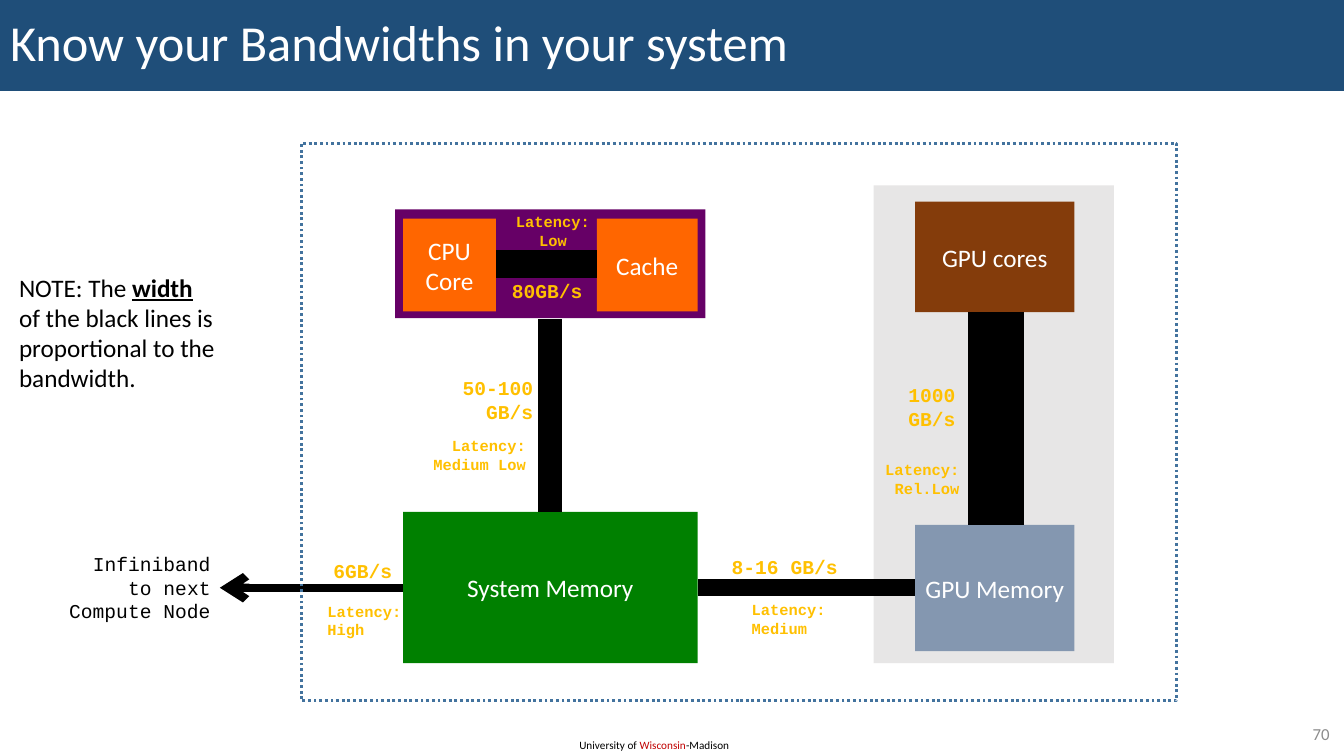
from lxml import etree
from pptx import Presentation
from pptx.dml.color import RGBColor
from pptx.enum.dml import MSO_LINE
from pptx.enum.shapes import MSO_CONNECTOR, MSO_SHAPE
from pptx.enum.text import MSO_ANCHOR, MSO_AUTO_SIZE, PP_ALIGN
from pptx.oxml.ns import qn
from pptx.util import Cm, Pt

LEFT, MID, RIGHT = PP_ALIGN.LEFT, PP_ALIGN.CENTER, PP_ALIGN.RIGHT
MIDDLE = MSO_ANCHOR.MIDDLE
RECT = MSO_SHAPE.RECTANGLE
LINE = MSO_CONNECTOR.STRAIGHT
DOTS = MSO_LINE.ROUND_DOT
GROW = MSO_AUTO_SIZE.SHAPE_TO_FIT_TEXT
SANS, MONO = "Calibri", "Courier New"
BLACK, WHITE, GOLD = "000000", "FFFFFF", "FFC000"


def hue(code):
    return RGBColor.from_string(code)


def put(para, text, size, code, face=SANS, bold=False):
    run = para.add_run()
    run.text = text
    font = run.font
    font.size, font.name, font.bold = Pt(size), face, bold
    font.color.rgb = hue(code)
    return run


deck = Presentation()
deck.slide_width, deck.slide_height = Cm(33.87), Cm(19.05)
slide = deck.slides.add_slide(deck.slide_layouts[5])
shapes = slide.shapes

title = shapes.title
title.left, title.top, title.width, title.height = Cm(0), Cm(0), Cm(33.87), Cm(2.29)
title.fill.solid()
title.fill.fore_color.rgb = hue("1F4E79")
title.text_frame.vertical_anchor = MIDDLE
para = title.text_frame.paragraphs[0]
para.alignment, para.line_spacing = LEFT, 0.9
put(para, "Know your Bandwidths in your system", 36, WHITE)

boxes = [
    ("", "E7E6E6", 22.02, 4.67, 6.05, 12.04),
    ("", "660066", 9.96, 5.28, 7.82, 2.74),
    ("System Memory", "008000", 10.16, 12.9, 7.42, 3.81),
    ("GPU cores", "843C0B", 23.06, 5.08, 4.02, 2.79),
    ("GPU Memory", "8497B0", 23.06, 13.23, 4.02, 3.18),
    ("CPU Core", "FF6600", 10.16, 5.51, 2.34, 2.34),
    ("Cache", "FF6600", 15.04, 5.51, 2.54, 2.34),
]
for name, code, *place in boxes:
    box = shapes.add_shape(RECT, *map(Cm, place))
    box.shadow.inherit = False
    box.fill.solid()
    box.fill.fore_color.rgb = hue(code)
    box.line.fill.background()
    if name:
        box.text_frame.word_wrap = True
        box.text_frame.vertical_anchor = MIDDLE
        para = box.text_frame.paragraphs[0]
        para.alignment = MID
        put(para, name, 18, WHITE)

links = [
    (12, 17.58, 14.81, 23.06, 14.81),
    (40, 25.1, 7.87, 25.1, 13.23),
    (17, 13.87, 12.9, 13.87, 8.03),
    (20, 15.04, 6.65, 12.5, 6.65),
    (6, 10.16, 14.81, 5.54, 14.81),
]
for width, *ends in links:
    link = shapes.add_connector(LINE, *map(Cm, ends))
    link.line.width = Pt(width)
    link.line.color.rgb = hue(BLACK)
    etree.SubElement(link._element.spPr, qn("a:effectLst"))
arrow = link.line._get_or_add_ln()
etree.SubElement(arrow, qn("a:tailEnd"), type="arrow")

labels = [
    (["50-100", "GB/s"], 14, RIGHT, 11.38, 9.35, 2.31, 1.45),
    (["8-16 GB/s"], 14, LEFT, 18.19, 13.87, 3.2, 0.86),
    (["1000", "GB/s"], 14, RIGHT, 19.25, 9.53, 5.08, 1.45),
    (["6GB/s"], 14, LEFT, 8.15, 13.97, 2.01, 0.86),
    (["80GB/s"], 14, LEFT, 12.65, 6.91, 2.31, 0.86),
    (["Latency:", "High"], 11, LEFT, 8, 15.04, 2.41, 1.19),
    (["Latency:", "Medium"], 11, LEFT, 18.69, 15.01, 2.41, 1.19),
    (["Latency:", "Medium Low"], 11, RIGHT, 10.64, 10.87, 2.87, 1.19),
    (["Latency:", "Low"], 11, MID, 12.73, 5.23, 2.41, 1.19),
    (["Latency:", "Rel.Low"], 11, RIGHT, 22.02, 11.48, 2.41, 1.19),
]
for lines, size, align, *place in labels:
    frame = shapes.add_textbox(*map(Cm, place)).text_frame
    frame.word_wrap = False
    frame.auto_size = GROW
    for i, text in enumerate(lines):
        para = frame.add_paragraph() if i else frame.paragraphs[0]
        para.alignment = align
        put(para, text, size, GOLD, MONO, True)

frame = shapes.add_textbox(Cm(1.22), Cm(13.79), Cm(4.34), Cm(2.06)).text_frame
frame.word_wrap = True
frame.auto_size = GROW
para = frame.paragraphs[0]
para.alignment = RIGHT
put(para, "Infiniband to next Compute Node", 14, BLACK, MONO)

frame = shapes.add_textbox(Cm(0.23), Cm(6.73), Cm(5.66), Cm(3.33)).text_frame
frame.word_wrap = False
frame.auto_size = GROW
para = frame.paragraphs[0]
put(para, "NOTE: The ", 18, BLACK)
put(para, "width", 18, BLACK, bold=True).font.underline = True
for text in ["of the black lines is", "proportional to the", "bandwidth."]:
    para.add_line_break()
    put(para, text, 18, BLACK)

border = shapes.add_shape(RECT, Cm(7.59), Cm(3.61), Cm(22.07), Cm(14.05))
border.shadow.inherit = False
border.fill.background()
border.line.color.rgb = hue("43739E")
border.line.width = Pt(2)
border.line.dash_style = DOTS

frame = shapes.add_textbox(Cm(14.35), Cm(18.49), Cm(4.37), Cm(0.61)).text_frame
frame.word_wrap = True
frame.auto_size = GROW
for text, code in [("University of ", BLACK), ("Wisconsin", "C00000"), ("-Madison", BLACK)]:
    put(frame.paragraphs[0], text, 8, code)

frame = shapes.add_textbox(Cm(31.83), Cm(18.11), Cm(1.93), Cm(0.74)).text_frame
frame.word_wrap = True
frame.vertical_anchor = MIDDLE
para = frame.paragraphs[0]
para.alignment = RIGHT
put(para, "70", 12, "8C8C8C")

deck.save("out.pptx")
